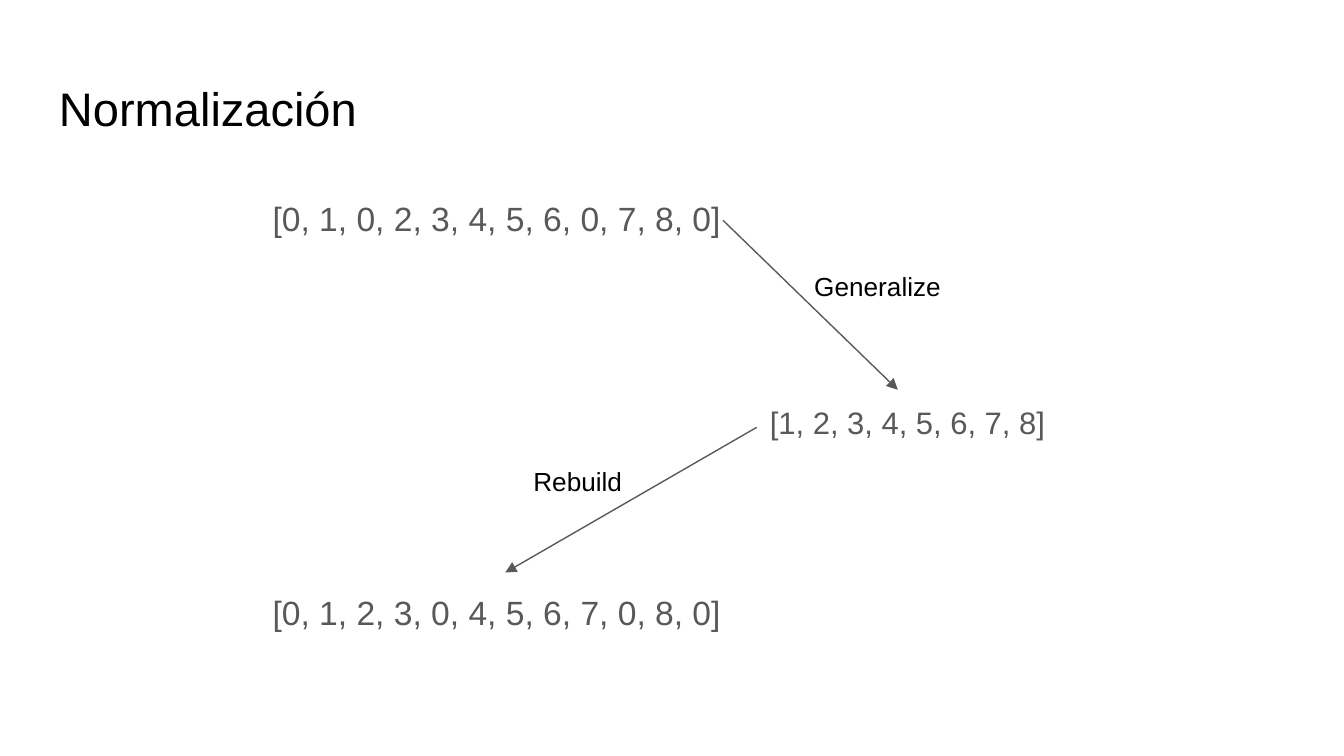
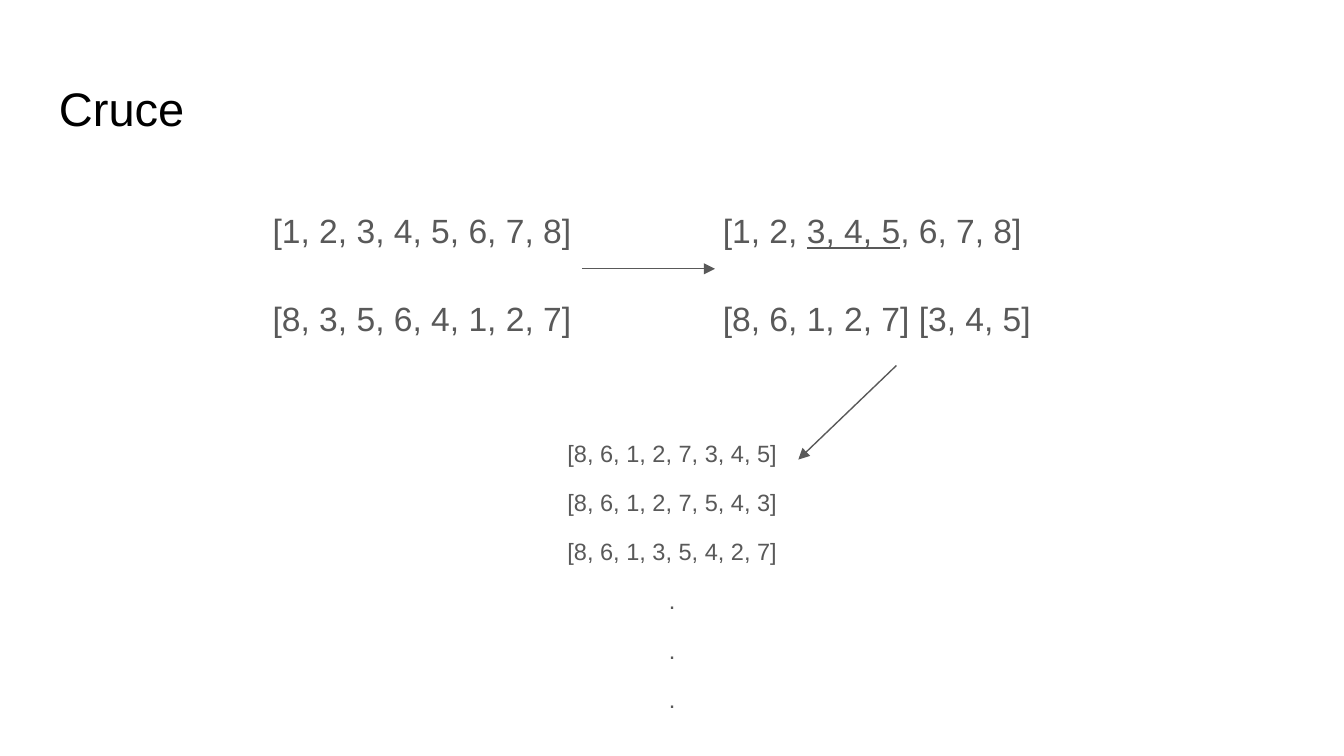
from lxml.etree import SubElement
from pptx import Presentation
from pptx.dml.color import RGBColor
from pptx.enum.shapes import MSO_CONNECTOR
from pptx.enum.text import PP_ALIGN
from pptx.oxml.ns import qn
from pptx.util import Inches, Pt

FONT = "Arial"
BLACK = RGBColor(0x00, 0x00, 0x00)
GRAY = RGBColor(0x59, 0x59, 0x59)
WHITE = RGBColor(0xFF, 0xFF, 0xFF)

SLIDE_WIDTH = 10
SLIDE_HEIGHT = SLIDE_WIDTH * 9 / 16
LIST_LEFT = 1.93
LIST_HEIGHT = 0.65


# Elements
def add_text(slide, paragraphs, left, top, width, height, *, size, color=BLACK,
             align=PP_ALIGN.LEFT, line_spacing=1.0, space_before=0,
             space_after=0, underlined=None):
    """Add a text box; the part of the text equal to underlined is underlined."""
    box = slide.shapes.add_textbox(
        Inches(left), Inches(top), Inches(width), Inches(height))
    frame = box.text_frame
    frame.word_wrap = True
    frame.margin_left = frame.margin_right = Inches(0.1)
    frame.margin_top = frame.margin_bottom = Inches(0.1)
    for index, text in enumerate(paragraphs):
        paragraph = frame.paragraphs[0] if index == 0 else frame.add_paragraph()
        paragraph.alignment = align
        paragraph.line_spacing = line_spacing
        paragraph.space_before = Pt(space_before if index else 0)
        paragraph.space_after = Pt(space_after)
        before, marked, after = text.partition(underlined) if underlined else (text, "", "")
        for part in filter(None, (before, marked, after)):
            run = paragraph.add_run()
            run.text = part
            run.font.name = FONT
            run.font.size = Pt(size)
            run.font.color.rgb = color
            if part == underlined:
                run.font.underline = True


def add_number_list(slide, text, left, top, width, size=18, underlined=None):
    add_text(slide, [text], left, top, width, LIST_HEIGHT, size=size, color=GRAY,
             line_spacing=1.15, space_after=12, underlined=underlined)


def add_arrow(slide, start, end):
    arrow = slide.shapes.add_connector(
        MSO_CONNECTOR.STRAIGHT, *(Inches(value) for value in (*start, *end)))
    arrow.line.color.rgb = GRAY
    arrow.line.width = Pt(0.75)
    line = arrow._element.spPr.find(qn("a:ln"))
    SubElement(line, qn("a:tailEnd"), type="triangle")
    SubElement(arrow._element.spPr, qn("a:effectLst"))


def add_titled_slide(presentation, title):
    slide = presentation.slides.add_slide(presentation.slide_layouts[6])
    slide.background.fill.solid()
    slide.background.fill.fore_color.rgb = WHITE
    add_text(slide, [title], 0.34, 0.49, 9.32, 0.63, size=25.2)
    return slide


# Slides
def build_normalization(presentation):
    slide = add_titled_slide(presentation, "Normalización")
    add_number_list(slide, "[0, 1, 0, 2, 3, 4, 5, 6, 0, 7, 8, 0]", LIST_LEFT, 1.33, 3.66)
    add_number_list(slide, "[1, 2, 3, 4, 5, 6, 7, 8]", 5.63, 2.86, 2.44, size=16.6)
    add_number_list(slide, "[0, 1, 2, 3, 0, 4, 5, 6, 7, 0, 8, 0]", LIST_LEFT, 4.26, 3.66)

    # Steps between the lists
    add_text(slide, ["Generalize"], 5.96, 1.91, 2.08, 0.44, size=14)
    add_text(slide, ["Rebuild"], 3.87, 3.36, 3.13, 0.44, size=14)
    add_arrow(slide, (5.38, 1.64), (6.68, 2.9))
    add_arrow(slide, (5.63, 3.18), (3.76, 4.26))


def build_crossover(presentation):
    slide = add_titled_slide(presentation, "Cruce")

    # Parents on the left, selected segment on the right
    right, first_row = 5.28, 1.42
    second_row = first_row + LIST_HEIGHT
    add_number_list(slide, "[1, 2, 3, 4, 5, 6, 7, 8]", LIST_LEFT, first_row, 2.72)
    add_number_list(slide, "[8, 3, 5, 6, 4, 1, 2, 7]", LIST_LEFT, second_row, 2.79)
    add_number_list(slide, "[1, 2, 3, 4, 5, 6, 7, 8]", right, first_row, 2.72,
                    underlined="3, 4, 5")
    add_number_list(slide, "[8, 6, 1, 2, 7] [3, 4, 5]", right, second_row, 2.79)

    # Possible children
    children = ["[8, 6, 1, 2, 7, 3, 4, 5]", "[8, 6, 1, 2, 7, 5, 4, 3]",
                "[8, 6, 1, 3, 5, 4, 2, 7]", ".", ".", "."]
    add_text(slide, children, 3.64, 3.18, 2.72, 2.61, size=12.6, color=GRAY,
             align=PP_ALIGN.CENTER, line_spacing=0.95, space_before=12)

    add_arrow(slide, (4.33, 2), (5.32, 2))
    add_arrow(slide, (6.67, 2.72), (5.94, 3.42))


def main():
    presentation = Presentation()
    presentation.slide_width = Inches(SLIDE_WIDTH)
    presentation.slide_height = Inches(SLIDE_HEIGHT)
    build_normalization(presentation)
    build_crossover(presentation)
    presentation.save("out.pptx")


if __name__ == "__main__":
    main()
